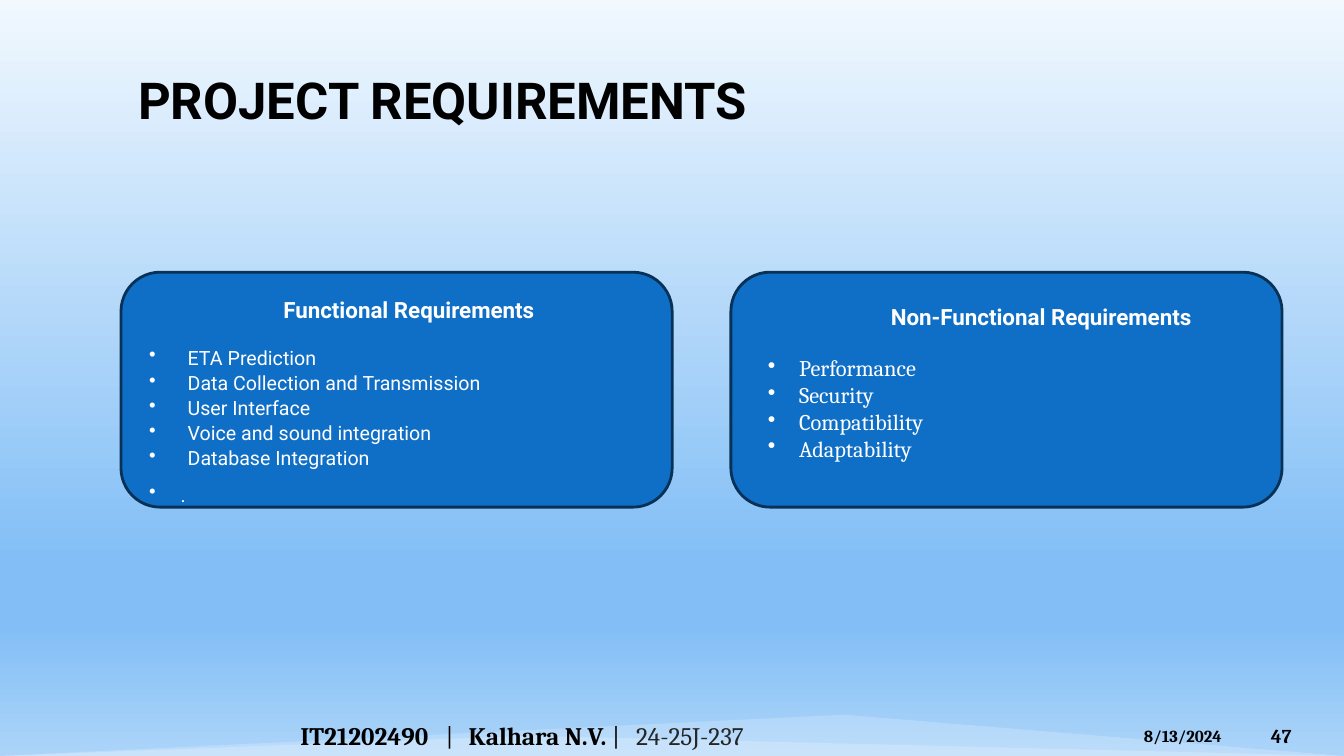
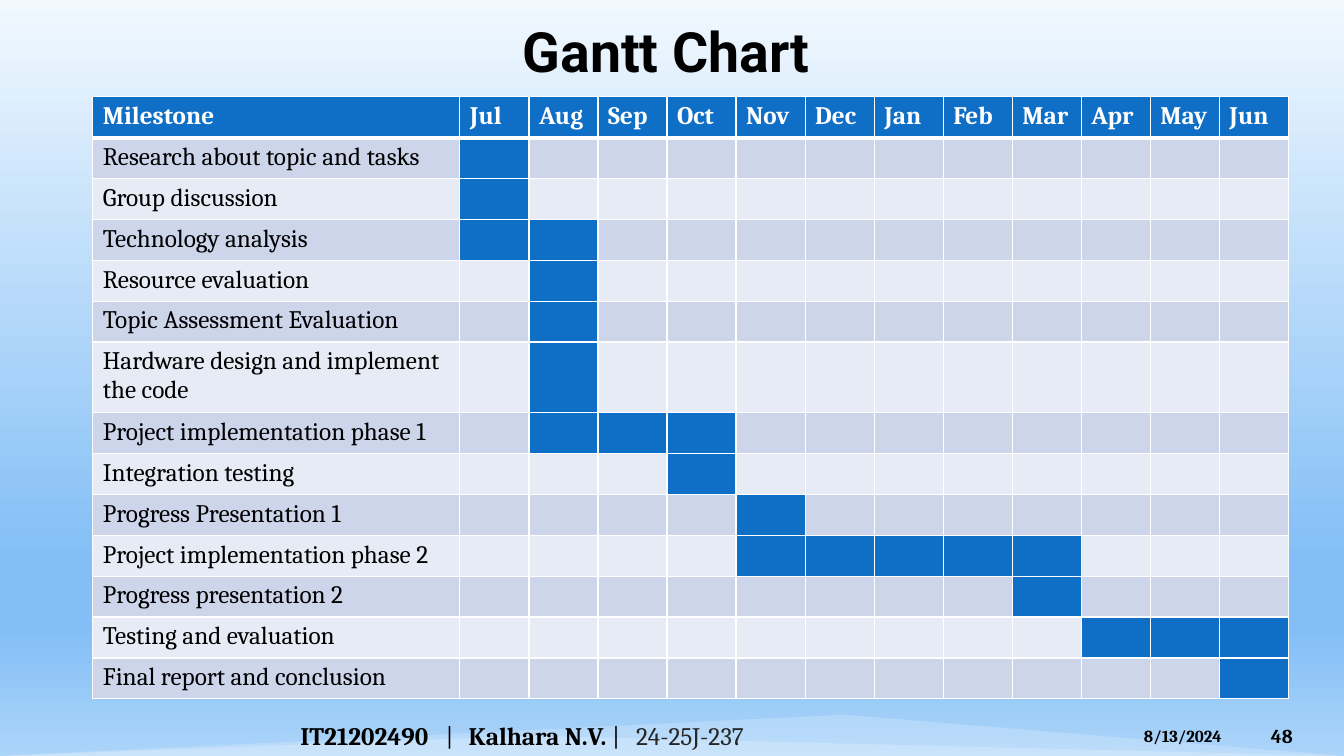
from dataclasses import dataclass

import lxml.etree
import pptx
import pptx.dml.color
import pptx.enum.shapes
import pptx.enum.text
import pptx.oxml.ns
import pptx.util

Cm = pptx.util.Cm
Pt = pptx.util.Pt
qn = pptx.oxml.ns.qn
MSO_SHAPE = pptx.enum.shapes.MSO_SHAPE
PP_ALIGN = pptx.enum.text.PP_ALIGN
MIDDLE = pptx.enum.text.MSO_ANCHOR.MIDDLE


@dataclass(frozen=True)
class Theme:
    black: str = "000000"
    white: str = "FFFFFF"
    grey: str = "262626"
    blue: str = "0F6FC6"
    navy: str = "073157"
    bands: tuple = ("CCD5EA", "E7EBF5")
    sky: tuple = ((0, "F1F8FE"), (74, "83BFF6"), (83, "83BFF6"), (100, "ACD4F9"))
    sans: str = "Roboto"
    serif: str = "Cambria"
    title: float = 36.3
    chart_title: float = 39.6
    large: int = 18
    heading: int = 16
    body: int = 14
    small: int = 12


T = Theme()
MONTHS = ["Jul", "Aug", "Sep", "Oct", "Nov", "Dec", "Jan", "Feb", "Mar", "Apr", "May", "Jun"]
# Task, first month and last month, counted from 1 for the first Jul
TASKS = [
    ("Research about topic and tasks", 1, 1),
    ("Group discussion", 1, 1),
    ("Technology analysis", 1, 2),
    ("Resource evaluation", 2, 2),
    ("Topic Assessment Evaluation", 2, 2),
    ("Hardware design and implement the code", 2, 2),
    ("Project implementation phase 1", 2, 4),
    ("Integration testing", 4, 4),
    ("Progress Presentation 1", 5, 5),
    ("Project implementation phase 2", 5, 9),
    ("Progress presentation 2", 9, 9),
    ("Testing and evaluation", 10, 12),
    ("Final report and conclusion", 12, 12),
]
FUNCTIONAL = [
    "ETA Prediction",
    "Data Collection and Transmission",
    "User Interface",
    "Voice and sound integration",
    "Database Integration",
]
NON_FUNCTIONAL = ["Performance", "Security", "Compatibility", "Adaptability"]


def rgb(color):
    return pptx.dml.color.RGBColor.from_string(color)


def sub(parent, tag, **attributes):
    """Append a drawing element to parent."""
    el = lxml.etree.SubElement(parent, qn(tag))
    for key, value in attributes.items():
        el.set(key, str(value))
    return el


def add_run(p, text, size=T.body, color=T.black, font=T.serif, bold=False):
    r = p.add_run()
    r.text = text
    r.font.size = Pt(size)
    r.font.name = font
    r.font.bold = bold
    r.font.color.rgb = rgb(color)


def write(tf, text, align=None, spacing=None, after=None, indent=0, hanging=False, **fmt):
    """Fill the first empty paragraph or add one; hanging gives a bullet."""
    p = tf.paragraphs[0]
    if p.runs:
        p = tf.add_paragraph()
    pPr = p._p.get_or_add_pPr()
    if indent:
        pPr.set("marL", str(Cm(indent)))
    if hanging:
        pPr.set("indent", str(-Cm(indent)))
        sub(pPr, "a:buChar", char="•")
    p.alignment = align
    p.line_spacing = spacing
    if after is not None:
        p.space_after = Pt(after)
    add_run(p, text, **fmt)
    return p


class Deck:
    def __init__(self):
        self.prs = pptx.Presentation()
        self.prs.slide_width = Cm(33.87)
        self.prs.slide_height = Cm(19.05)
        self.slide = None
        self.paint_background()

    def paint_background(self):
        fill = self.prs.slide_master.background.fill
        fill.gradient()
        fill.gradient_angle = 270
        stops = self.prs.slide_master.element.find(".//" + qn("a:gsLst"))
        for stop in list(stops):
            stops.remove(stop)
        for percent, color in T.sky:
            sub(sub(stops, "a:gs", pos=percent * 1000), "a:srgbClr", val=color)

    def new_slide(self, number):
        self.slide = self.prs.slides.add_slide(self.prs.slide_layouts[6])
        for top, height, peak in ((18.01, 1.04, 0.628), (18.54, 0.51, 0.394)):
            self.hill(top, height, peak)
        tf = self.text_box(31.78, 18.03, 1.88, 1.02, anchor=MIDDLE)
        write(tf, str(number), bold=True)
        tf = self.text_box(28.58, 18.16, 2.97, 0.76)
        write(tf, "8/13/2024", size=T.small, bold=True)
        self.author_line()

    def author_line(self):
        tf = self.text_box(7.32, 18.03, 18.92, 1.02, anchor=MIDDLE)
        p = write(tf, "IT21202490", size=T.large, bold=True)
        tabs = sub(p._p.get_or_add_pPr(), "a:tabLst")
        for pos in (3.66, 4.24, 8.46):
            sub(tabs, "a:tab", pos=int(Cm(pos)), algn="l")
        add_run(p, "\t|\t", size=T.large)
        add_run(p, "Kalhara N.V. ", size=T.large, bold=True)
        add_run(p, "|\t", size=T.large)
        add_run(p, "24-25J-237", size=T.large, color=T.grey)

    def text_box(self, left, top, width, height, anchor=None):
        sp = self.slide.shapes.add_textbox(Cm(left), Cm(top), Cm(width), Cm(height))
        tf = sp.text_frame
        tf.word_wrap = True
        tf.vertical_anchor = anchor
        return tf

    def shape(self, kind, left, top, width, height, fill):
        sp = self.slide.shapes.add_shape(kind, Cm(left), Cm(top), Cm(width), Cm(height))
        sp.shadow.inherit = False
        sp.fill.solid()
        sp.fill.fore_color.rgb = rgb(fill)
        sp.line.fill.background()
        return sp

    def hill(self, top, height, peak):
        """Translucent triangle across the foot of the slide."""
        sp = self.shape(MSO_SHAPE.ISOSCELES_TRIANGLE, 0, top, 33.87, height, T.white)
        sp.adjustments[0] = peak
        color = sp._element.spPr.find(qn("a:solidFill")).find(qn("a:srgbClr"))
        sub(color, "a:alpha", val=20000)

    def title(self, text, left, top, width, height, **fmt):
        tf = self.text_box(left, top, width, height, anchor=fmt.pop("anchor", None))
        write(tf, text, font=T.sans, bold=True, **fmt)

    def card(self, left):
        sp = self.shape(MSO_SHAPE.ROUNDED_RECTANGLE, left, 6.86, 13.89, 5.92, T.blue)
        sp.line.color.rgb = rgb(T.navy)
        sp.line.width = Pt(2)

    def requirements(self, heading, items, left, top, heading_indent, gap, indent, **fmt):
        """Heading with a bullet list below it; gap is the space between, in points."""
        tf = self.text_box(left, top, 13, 4.9)
        write(tf, heading, indent=heading_indent, spacing=1.07, after=gap,
              size=T.heading, font=T.sans, color=T.white, bold=True)
        for item in items:
            p = write(tf, item, indent=indent, hanging=True, color=T.white, **fmt)
        return tf, p

    def borders(self, cell, bottom):
        tcPr = cell._tc.get_or_add_tcPr()
        for side, points in (("L", 1), ("R", 1), ("T", 1), ("B", bottom)):
            ln = sub(tcPr, "a:ln" + side, w=int(Pt(points)))
            sub(sub(ln, "a:solidFill"), "a:srgbClr", val=T.white)

    def cell(self, cell, fill, text="", bottom=1, **fmt):
        self.borders(cell, bottom)
        cell.fill.solid()
        cell.fill.fore_color.rgb = rgb(fill)
        if text:
            write(cell.text_frame, text, size=T.large, **fmt)

    def gantt(self, left, top, task_width, month_width, row_height):
        rows, cols = len(TASKS) + 1, len(MONTHS) + 1
        width = task_width + month_width * len(MONTHS)
        table = self.slide.shapes.add_table(
            rows, cols, Cm(left), Cm(top), Cm(width), Cm(row_height * rows)).table
        for row in table.rows:
            row.height = Cm(row_height)
        for i, column in enumerate(table.columns):
            column.width = Cm(month_width if i else task_width)
        for i, label in enumerate(["Milestone"] + MONTHS):
            self.cell(table.cell(0, i), T.blue, label, bottom=3, color=T.white, bold=True)
        for i, (task, first, last) in enumerate(TASKS):
            band = T.bands[i % 2]
            self.cell(table.cell(i + 1, 0), band, task)
            for month in range(1, cols):
                active = first <= month <= last
                self.cell(table.cell(i + 1, month), T.blue if active else band)


def requirements_slide(deck):
    deck.new_slide(47)
    deck.title("PROJECT REQUIREMENTS", 3.23, 1.9, 28.78, 3.78, size=T.title, spacing=0.8)
    for left in (3.05, 18.42):
        deck.card(left)
    tf, p = deck.requirements("Functional Requirements", FUNCTIONAL, 3.51, 7.29, 3.38, 15,
                              0.97, spacing=1.07, font=T.sans)
    p.space_after = Pt(8)
    write(tf, ".", indent=0.79, hanging=True, spacing=1.07, font=T.sans, color=T.white)
    deck.requirements("Non-Functional Requirements", NON_FUNCTIONAL, 19.1, 7.47, 3.1, 17.5,
                      0.79, size=T.heading)


def gantt_slide(deck):
    deck.new_slide(48)
    deck.title("Gantt Chart", 0.56, 0.38, 32.46, 1.78, size=T.chart_title,
               align=PP_ALIGN.CENTER, anchor=MIDDLE)
    deck.gantt(2.34, 2.44, 9.25, 1.74, 1.03)


def main():
    deck = Deck()
    requirements_slide(deck)
    gantt_slide(deck)
    deck.prs.save("out.pptx")


if __name__ == "__main__":
    main()
